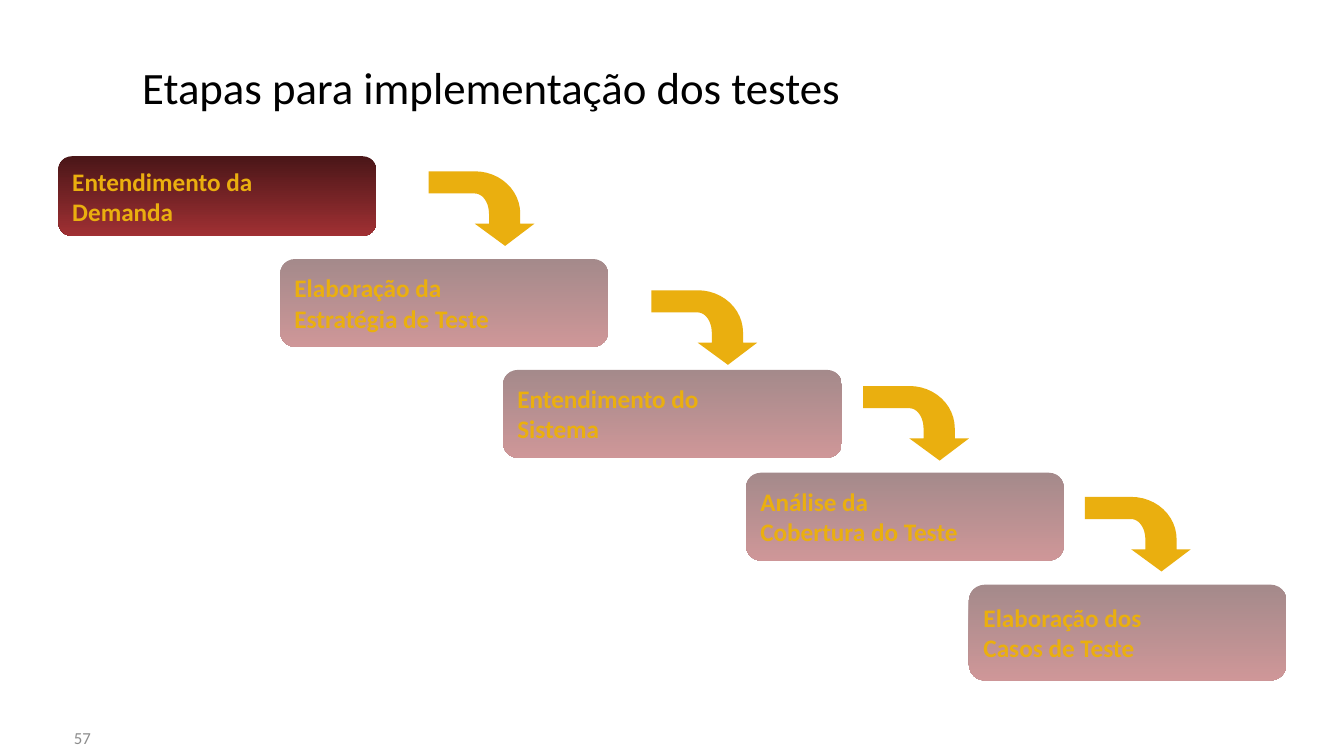
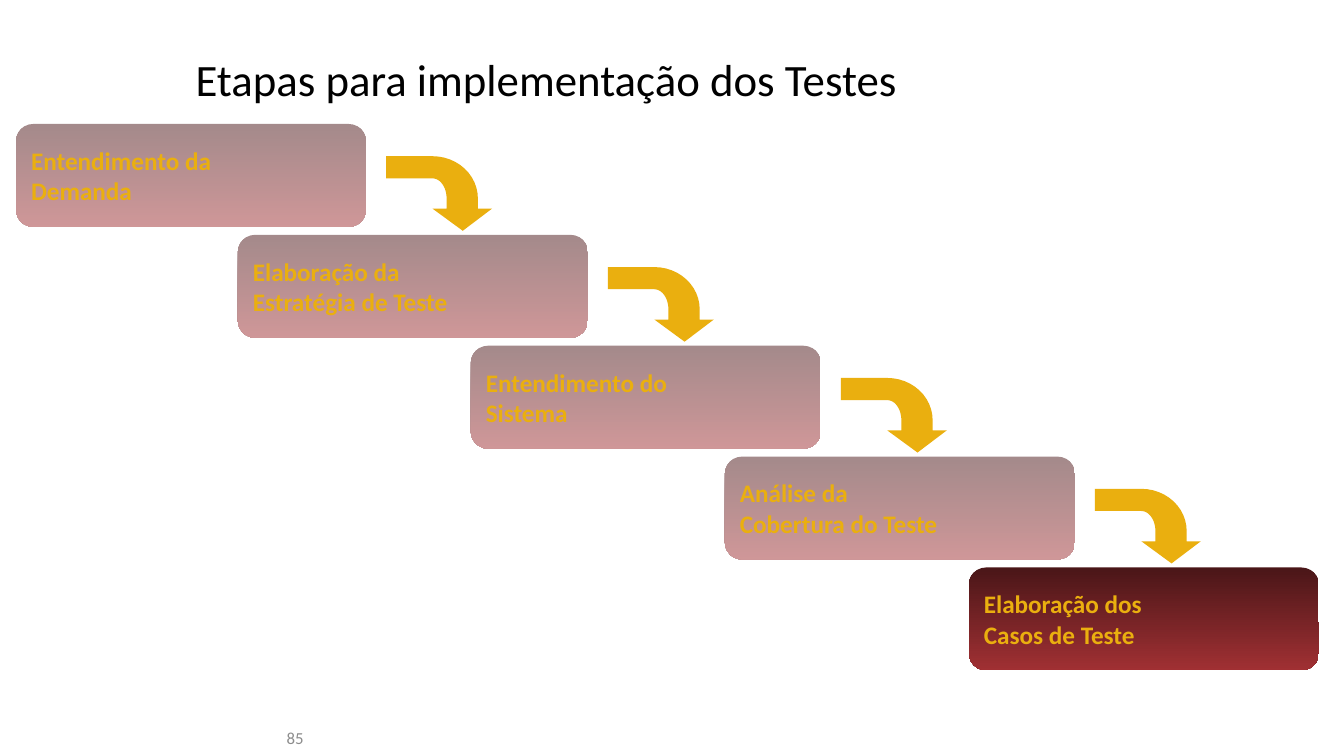
"""Build two staircase slides showing the steps for implementing tests."""
from math import cos, pi, sin

from pptx import Presentation
from pptx.dml.color import RGBColor
from pptx.enum.shapes import MSO_SHAPE as Shape
from pptx.enum.text import MSO_ANCHOR as Anchor, PP_ALIGN as Align
from pptx.oxml.ns import qn
from pptx.util import Inches, Pt

DARK_RED, RED, GOLD, BLACK, GRAY = "4A1618", "A03033", "EAAF0F", "000000", "8C8C8C"
STEPS = [
    "Entendimento da\vDemanda",
    "Elaboração da\vEstratégia de Teste",
    "Entendimento do\vSistema",
    "Análise da\vCobertura do Teste",
    "Elaboração dos\vCasos de Teste",
]
WIDE, TALL = 3.47, 1.02
lefts = [0.16, 2.36, 4.67, 7.19, 9.61]
stairs = [(left, 1.23 + 1.1 * row, WIDE, TALL) for row, left in enumerate(lefts)]
PAGES = [
    {
        "title": "Etapas para implementação dos testes",
        "title_at": (1.31, 0.6),
        "current": 0,
        "boxes": [
            (0.58, 1.55, 3.15, 0.79),
            (2.78, 2.57, 3.25, 0.87),
            (4.99, 3.67, 3.36, 0.87),
            (7.4, 4.69, 3.15, 0.87),
            (9.61, 5.8, 3.15, 0.95),
        ],
        "arrows": [(4.25, 1.7), (6.46, 2.88), (8.56, 3.83), (10.76, 4.93)],
        "number": "57",
        "number_width": 1,
    },
    {
        "title": "Etapas para implementação dos Testes",
        "title_at": (1.84, 0.52),
        "current": 4,
        "boxes": stairs,
        "arrows": [(left + WIDE + 0.2, top + 0.32) for left, top, _, _ in stairs[:-1]],
        "number": "85",
        "number_width": 3.11,
    },
]

quarter = [pi / 2 * step / 12 for step in range(13)]
outer_bend = [(0.46 + 0.45 * sin(turn), 0.42 - 0.42 * cos(turn)) for turn in quarter]
inner_bend = [(0.46 + 0.14 * cos(turn), 0.42 - 0.2 * sin(turn)) for turn in quarter]
arrow_head = [(0.91, 0.52), (1.05, 0.52), (0.76, 0.74), (0.46, 0.52), (0.6, 0.52)]
ARROW = [(0, 0), *outer_bend, *arrow_head, *inner_bend, (0, 0.22)]


def color(value):
    return RGBColor.from_string(value)


def style(paragraph, size, value, bold=False):
    paragraph.font.name = "Calibri"
    paragraph.font.size = Pt(size)
    paragraph.font.bold = bold
    paragraph.font.color.rgb = color(value)


deck = Presentation()
deck.slide_width, deck.slide_height = Inches(13.33), Inches(7.5)

for content in PAGES:
    page = deck.slides.add_slide(deck.slide_layouts.get_by_name("Title Only"))

    title = page.shapes.title
    title.left, title.top = [Inches(value) for value in content["title_at"]]
    title.width, title.height = Inches(11.4), Inches(0.85)
    title.text_frame.text = content["title"]
    title.text_frame.vertical_anchor = Anchor.TOP
    para = title.text_frame.paragraphs[0]
    para.alignment = Align.LEFT
    para.line_spacing = 0.9
    style(para, 32, BLACK)

    for index, (step, place) in enumerate(zip(STEPS, content["boxes"])):
        box = page.shapes.add_shape(Shape.ROUNDED_RECTANGLE, *[Inches(value) for value in place])
        box.shadow.inherit = False
        box.line.fill.background()
        box.fill.gradient()
        box.fill.gradient_angle = 270
        for stop, shade in zip(box.fill.gradient_stops, (DARK_RED, RED)):
            stop.color.rgb = color(shade)
        if index != content["current"]:
            for shade in box._element.spPr.iter(qn("a:srgbClr")):
                shade.makeelement(qn("a:alpha"))
                alpha = shade.makeelement(qn("a:alpha"), {"val": "50000"})
                shade.append(alpha)
        box.text_frame.text = step
        box.text_frame.word_wrap = True
        box.text_frame.vertical_anchor = Anchor.MIDDLE
        para = box.text_frame.paragraphs[0]
        para.alignment = Align.LEFT
        style(para, 18, GOLD, bold=True)

    for left, top in content["arrows"]:
        points = [(Inches(left + x), Inches(top + y)) for x, y in ARROW]
        outline = page.shapes.build_freeform(*points[0])
        outline.add_line_segments(points[1:], close=True)
        arrow = outline.convert_to_shape()
        arrow.shadow.inherit = False
        arrow.fill.solid()
        arrow.fill.fore_color.rgb = color(GOLD)
        arrow.line.fill.background()

    number = page.shapes.add_textbox(0, Inches(7.14), Inches(content["number_width"]), Inches(0.36))
    number.text_frame.text = content["number"]
    number.text_frame.word_wrap = True
    number.text_frame.vertical_anchor = Anchor.MIDDLE
    para = number.text_frame.paragraphs[0]
    para.alignment = Align.RIGHT
    style(para, 12, GRAY)

deck.save("out.pptx")
